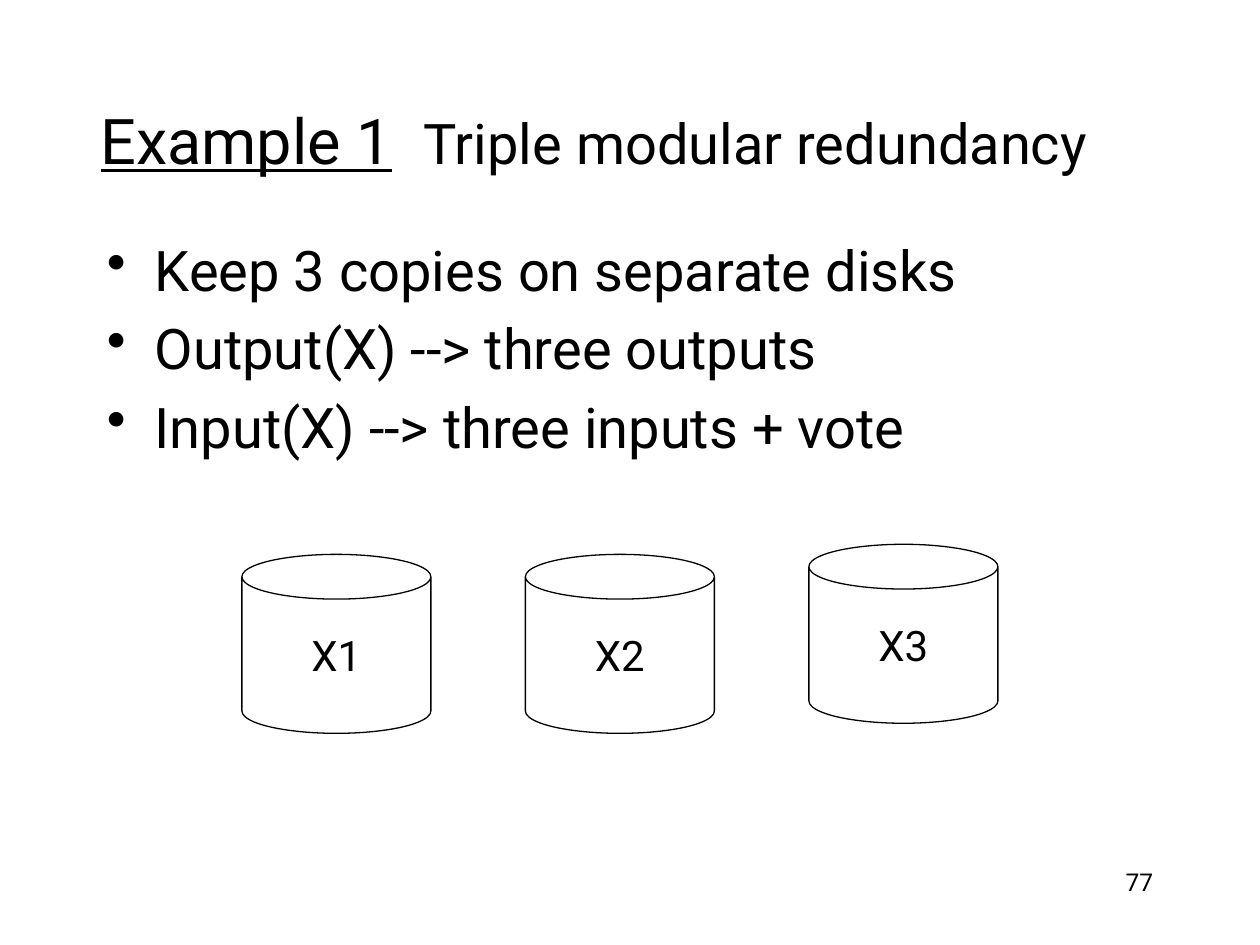
from lxml import etree
from pptx import Presentation
from pptx.dml.color import RGBColor
from pptx.enum.shapes import MSO_SHAPE
from pptx.enum.text import MSO_ANCHOR, PP_ALIGN
from pptx.oxml.ns import qn
from pptx.util import Inches, Pt

CAN = MSO_SHAPE.CAN
MIDDLE = MSO_ANCHOR.MIDDLE
CENTER, RIGHT = PP_ALIGN.CENTER, PP_ALIGN.RIGHT

# Content
FONT = "Roboto"
COLORS = {"ink": "000000", "paper": "FFFFFF"}
HEADING = [("Example 1", 36, True), ("  ", 36, False),
           ("Triple modular redundancy", 32, False)]
POINTS = ["Keep 3 copies on separate disks",
          "Output(X) --> three outputs",
          "Input(X) --> three inputs + vote"]
DISKS = [("X1", 4.4), ("X2", 4.4), ("X3", 4.32)]  # label, top
PAGE_NUMBER = "77"

# Layout in inches
SLIDE_W, SLIDE_H = 10, 7.5
DISK_LEFT, DISK_W, DISK_H = 1.92, 1.5, 1.42
DISK_PITCH = 1.5 * DISK_W
INDENT = 0.38


def color(key):
    return RGBColor.from_string(COLORS[key])


def style(run, size, underline=False):
    run.font.name = FONT
    run.font.size = Pt(size)
    run.font.underline = underline
    run.font.color.rgb = color("ink")


def add_box(slide, left, top, width, height):
    frame = slide.shapes.add_textbox(
        Inches(left), Inches(top), Inches(width), Inches(height)).text_frame
    frame.word_wrap = True
    return frame


def make_bullet(paragraph):
    props = paragraph._p.get_or_add_pPr()
    props.set("marL", str(Inches(INDENT)))
    props.set("indent", str(-Inches(INDENT)))
    space = etree.SubElement(props, qn("a:spcBef"))
    etree.SubElement(space, qn("a:spcPct")).set("val", "20000")
    etree.SubElement(props, qn("a:buChar")).set("char", "•")


prs = Presentation()
prs.slide_width, prs.slide_height = Inches(SLIDE_W), Inches(SLIDE_H)
slide = prs.slides.add_slide(prs.slide_layouts[6])

# Page number
number = add_box(slide, 7.17, 6.83, 2.08, 0.5)
number.text = PAGE_NUMBER
number.paragraphs[0].alignment = RIGHT
style(number.paragraphs[0].runs[0], 14)

# Heading
heading = add_box(slide, 0.7, 0.48, 8.5, 1.25)
heading.vertical_anchor = MIDDLE
for words, size, underline in HEADING:
    run = heading.paragraphs[0].add_run()
    run.text = words
    style(run, size, underline)

# Bullet points
points = add_box(slide, 0.75, 1.82, 8.5, 4.5)
points.text = "\n".join(POINTS)
for point in points.paragraphs:
    make_bullet(point)
    style(point.runs[0], 32)

# Disks
for column, (label, top) in enumerate(DISKS):
    disk = slide.shapes.add_shape(
        CAN, Inches(DISK_LEFT + column * DISK_PITCH), Inches(top),
        Inches(DISK_W), Inches(DISK_H))
    disk.adjustments[0] = 0.25
    disk.shadow.inherit = False
    disk.fill.solid()
    disk.fill.fore_color.rgb = color("paper")
    disk.line.color.rgb = color("ink")
    disk.line.width = Pt(0.75)
    text = disk.text_frame
    text.text = label
    text.word_wrap = False
    text.vertical_anchor = MIDDLE
    text.paragraphs[0].alignment = CENTER
    style(text.paragraphs[0].runs[0], 24)

prs.save("out.pptx")
